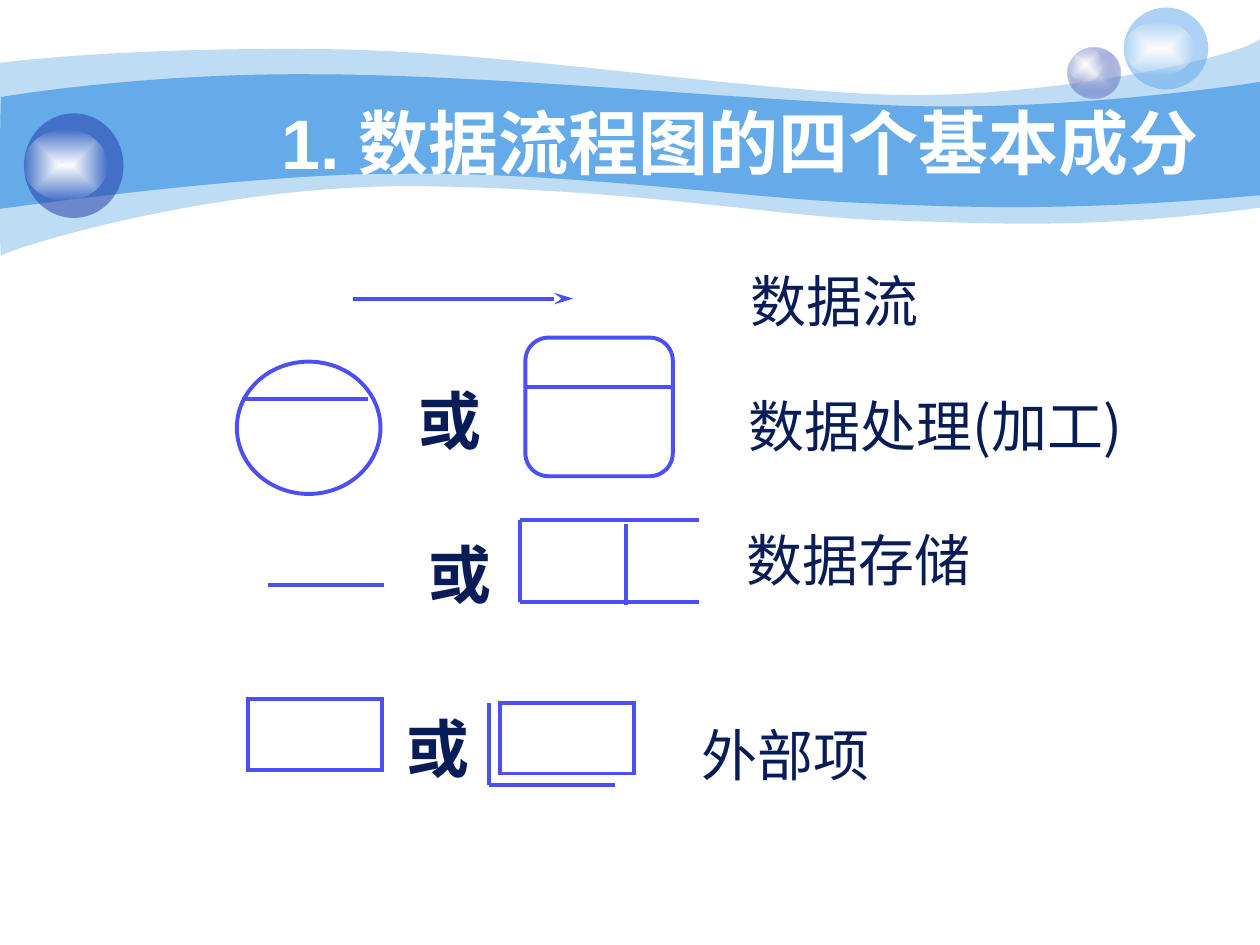
"""Build the slide on the four basic components of a data flow diagram."""
from dataclasses import dataclass

from lxml.etree import SubElement
from pptx import Presentation
from pptx.dml.color import RGBColor
from pptx.enum.shapes import MSO_CONNECTOR, MSO_SHAPE
from pptx.enum.text import MSO_ANCHOR, MSO_AUTO_SIZE, PP_ALIGN
from pptx.oxml import parse_xml
from pptx.oxml.ns import nsdecls, qn
from pptx.util import Inches, Pt

WHITE = RGBColor(0xFF, 0xFF, 0xFF)
SKY = RGBColor(0x65, 0xAA, 0xE9)
INDIGO = RGBColor(0x23, 0x3D, 0xA9)
MIST = RGBColor(0xE1, 0xE2, 0xED)
NAVY = RGBColor(0x08, 0x1D, 0x58)
OUTLINE = RGBColor(0x4B, 0x4F, 0xF5)
LATIN_FONT = "Arial"
CHINESE_FONT = "Noto Sans CJK SC"
LINE_WIDTH = Pt(2.25)

Box = tuple[float, float, float, float]
Point = tuple[float, float]


@dataclass
class Wave:
    start: Point
    segments: list[tuple[Point, ...]]
    opacity: int


@dataclass
class Orb:
    body: Box
    shine: Box
    color: RGBColor
    opacity: int
    center: RGBColor | None = None


@dataclass
class Label:
    text: str
    box: Box
    size: int = 32
    bold: bool = False
    font: str = CHINESE_FONT
    anchor: MSO_ANCHOR = MSO_ANCHOR.TOP
    line_spacing: float = 1.0


@dataclass
class Line:
    start: Point
    end: Point
    arrow: bool = False


@dataclass
class Symbol:
    kind: MSO_SHAPE
    box: Box


WAVES = [
    Wave((0, 0.5), [
        ((0.24, 0.47), (1.07, 0.38), (2.47, 0.39)),
        ((3.86, 0.39), (5.75, 0.7), (6.99, 0.75)),
        ((8.22, 0.8), (9.8, 0.47), (10, 0.31)),
        ((10, 1.65),),
        ((8.58, 1.83), (7.87, 1.77), (7.05, 1.75)),
        ((6.22, 1.73), (5.15, 1.51), (3.43, 1.48)),
        ((1.72, 1.44), (0.04, 1.99), (0.01, 2.03)),
        ((-0.01, 2.08), (0, 0.75), (0, 0.5)),
    ], 41),
    Wave((0.01, 0.77), [
        ((0.02, 0.77), (1.1, 0.58), (2.48, 0.59)),
        ((3.86, 0.59), (5.95, 0.8), (7.18, 0.84)),
        ((8.41, 0.88), (9.76, 0.69), (10, 0.65)),
        ((10, 1.55),),
        ((8.53, 1.68), (7.65, 1.65), (6.82, 1.61)),
        ((5.99, 1.58), (4.47, 1.36), (3.17, 1.38)),
        ((2.03, 1.37), (-0.02, 1.66), (-0.01, 1.66)),
        ((0, 1.66), (0, 0.77), (0.01, 0.77)),
    ], 100),
]
ORBS = [
    Orb((8.47, 0.38, 0.42, 0.4), (8.47, 0.38, 0.28, 0.27), INDIGO, 31, MIST),
    Orb((8.92, 0.06, 0.67, 0.65), (8.92, 0.17, 0.56, 0.43), SKY, 53),
    Orb((0.19, 0.9, 0.79, 0.83), (0.19, 1.03, 0.66, 0.56), INDIGO, 53),
]
SYMBOLS = [
    Symbol(MSO_SHAPE.OVAL, (1.88, 2.87, 1.14, 1.05)),
    Symbol(MSO_SHAPE.ROUNDED_RECTANGLE, (4.17, 2.68, 1.17, 1.1)),
    Symbol(MSO_SHAPE.RECTANGLE, (1.97, 5.55, 1.06, 0.56)),
    Symbol(MSO_SHAPE.RECTANGLE, (3.97, 5.58, 1.06, 0.56)),
]
LINES = [
    Line((2.8, 2.37), (4.55, 2.37), arrow=True),
    Line((1.92, 3.17), (2.92, 3.17)),
    Line((4.17, 3.07), (5.33, 3.07)),
    Line((2.13, 4.64), (3.05, 4.64)),
    Line((4.13, 4.13), (5.55, 4.13)),
    Line((4.13, 4.78), (5.55, 4.78)),
    Line((4.13, 4.13), (4.13, 4.78)),
    Line((4.97, 4.16), (4.97, 4.8)),
    Line((3.88, 5.58), (3.88, 6.23)),
    Line((3.88, 6.23), (4.88, 6.23)),
]
LABELS = [
    Label("数据流", (5.86, 2.07, 1.97, 0.63)),
    Label("数据处理(加工)", (5.84, 3.16, 3.67, 0.53), line_spacing=0.8),
    Label("数据存储", (5.83, 4.12, 2.5, 0.63), font=LATIN_FONT),
    Label("外部项", (5.47, 5.67, 2.78, 0.63), anchor=MSO_ANCHOR.MIDDLE),
    Label("或", (3.22, 2.98, 0.67, 0.7), 36, True),
    Label("或", (3.3, 4.2, 0.67, 0.7), 36, True),
    Label("或", (3.13, 5.58, 0.58, 0.7), 36, True),
]


def to_emu(values: tuple[float, ...]) -> list[Inches]:
    return [Inches(value) for value in values]


def fill_solid(shape, color: RGBColor, opacity: int) -> None:
    shape.fill.solid()
    shape.fill.fore_color.rgb = color
    if opacity < 100:
        color_element = shape.fill._xPr.find(qn("a:solidFill"))[0]
        SubElement(color_element, qn("a:alpha"), val=str(opacity * 1000))


def fill_radial(shape, center: RGBColor, edge: RGBColor, opacity: int) -> None:
    gradient = parse_xml(
        f'<a:gradFill {nsdecls("a")} rotWithShape="1"><a:gsLst>'
        f'<a:gs pos="0"><a:srgbClr val="{center}"/></a:gs>'
        f'<a:gs pos="100000"><a:srgbClr val="{edge}"><a:alpha val="{opacity * 1000}"/>'
        '</a:srgbClr></a:gs></a:gsLst><a:path path="shape">'
        '<a:fillToRect l="50000" t="50000" r="50000" b="50000"/></a:path></a:gradFill>')
    shape._element.spPr.find(qn("a:prstGeom")).addnext(gradient)


def bend_segments(shape, segments: list[tuple[Point, ...]]) -> None:
    straight_parts = iter(list(shape._element.iter(qn("a:lnTo"))))
    for segment in segments:
        parts = [next(straight_parts) for _ in segment]
        if len(parts) == 3:
            curve = parse_xml(f'<a:cubicBezTo {nsdecls("a")}/>')
            parts[0].addprevious(curve)
            for part in parts:
                curve.append(part[0])
                part.getparent().remove(part)


def draw_wave(shapes, wave: Wave) -> None:
    builder = shapes.build_freeform(*to_emu(wave.start))
    points = [to_emu(point) for segment in wave.segments for point in segment]
    builder.add_line_segments(points, close=True)
    shape = builder.convert_to_shape()
    bend_segments(shape, wave.segments)
    shape.shadow.inherit = False
    fill_solid(shape, SKY, wave.opacity)
    shape.line.fill.background()


def draw_orb(shapes, orb: Orb) -> None:
    group = shapes.add_group_shape()
    body, shine = (group.shapes.add_shape(MSO_SHAPE.OVAL, *to_emu(box))
                   for box in (orb.body, orb.shine))
    if orb.center is None:
        fill_solid(body, orb.color, orb.opacity)
    else:
        fill_radial(body, orb.center, orb.color, orb.opacity)
    fill_radial(shine, WHITE, WHITE, 0)
    for shape in (body, shine):
        shape.shadow.inherit = False
        shape.line.fill.background()


def draw_symbol(shapes, symbol: Symbol) -> None:
    shape = shapes.add_shape(symbol.kind, *to_emu(symbol.box))
    shape.shadow.inherit = False
    shape.fill.background()
    shape.line.color.rgb = OUTLINE
    shape.line.width = LINE_WIDTH
    SubElement(shape.line._get_or_add_ln(), qn("a:miter"), lim="800000")


def draw_line(shapes, line: Line) -> None:
    connector = shapes.add_connector(MSO_CONNECTOR.STRAIGHT, *to_emu(line.start + line.end))
    connector.line.color.rgb = OUTLINE
    connector.line.width = LINE_WIDTH
    if line.arrow:
        SubElement(connector.line._get_or_add_ln(), qn("a:tailEnd"), type="stealth", len="lg")
    SubElement(connector._element.spPr, qn("a:effectLst"))


def write_text(paragraph, text: str, size: int, color: RGBColor, bold: bool, font: str) -> None:
    run = paragraph.add_run()
    run.text = text
    run.font.size = Pt(size)
    run.font.bold = bold
    run.font.color.rgb = color
    run.font.name = font
    run.font._element.find(qn("a:latin")).addnext(
        parse_xml(f'<a:ea {nsdecls("a")} typeface="{CHINESE_FONT}"/>'))


def draw_label(shapes, label: Label) -> None:
    frame = shapes.add_textbox(*to_emu(label.box)).text_frame
    frame.word_wrap = True
    frame.auto_size = MSO_AUTO_SIZE.SHAPE_TO_FIT_TEXT
    frame.vertical_anchor = label.anchor
    paragraph = frame.paragraphs[0]
    paragraph.line_spacing = label.line_spacing
    write_text(paragraph, label.text, label.size, NAVY, label.bold, label.font)


def place_title(shapes, text: str) -> None:
    title = shapes.title
    title.left, title.top, title.width, title.height = to_emu((1.62, 0.5, 8.5, 1.25))
    title.text_frame.vertical_anchor = MSO_ANCHOR.MIDDLE
    paragraph = title.text_frame.paragraphs[0]
    paragraph.alignment = PP_ALIGN.CENTER
    write_text(paragraph, text, 40, WHITE, True, LATIN_FONT)
    title._element.getparent().append(title._element)


def main() -> None:
    presentation = Presentation()
    presentation.slide_width, presentation.slide_height = Inches(10), Inches(7.5)
    shapes = presentation.slides.add_slide(presentation.slide_layouts[5]).shapes
    for wave in WAVES:
        draw_wave(shapes, wave)
    for orb in ORBS:
        draw_orb(shapes, orb)
    place_title(shapes, "1. 数据流程图的四个基本成分")
    for symbol in SYMBOLS:
        draw_symbol(shapes, symbol)
    for line in LINES:
        draw_line(shapes, line)
    for label in LABELS:
        draw_label(shapes, label)
    presentation.save("out.pptx")


if __name__ == "__main__":
    main()
